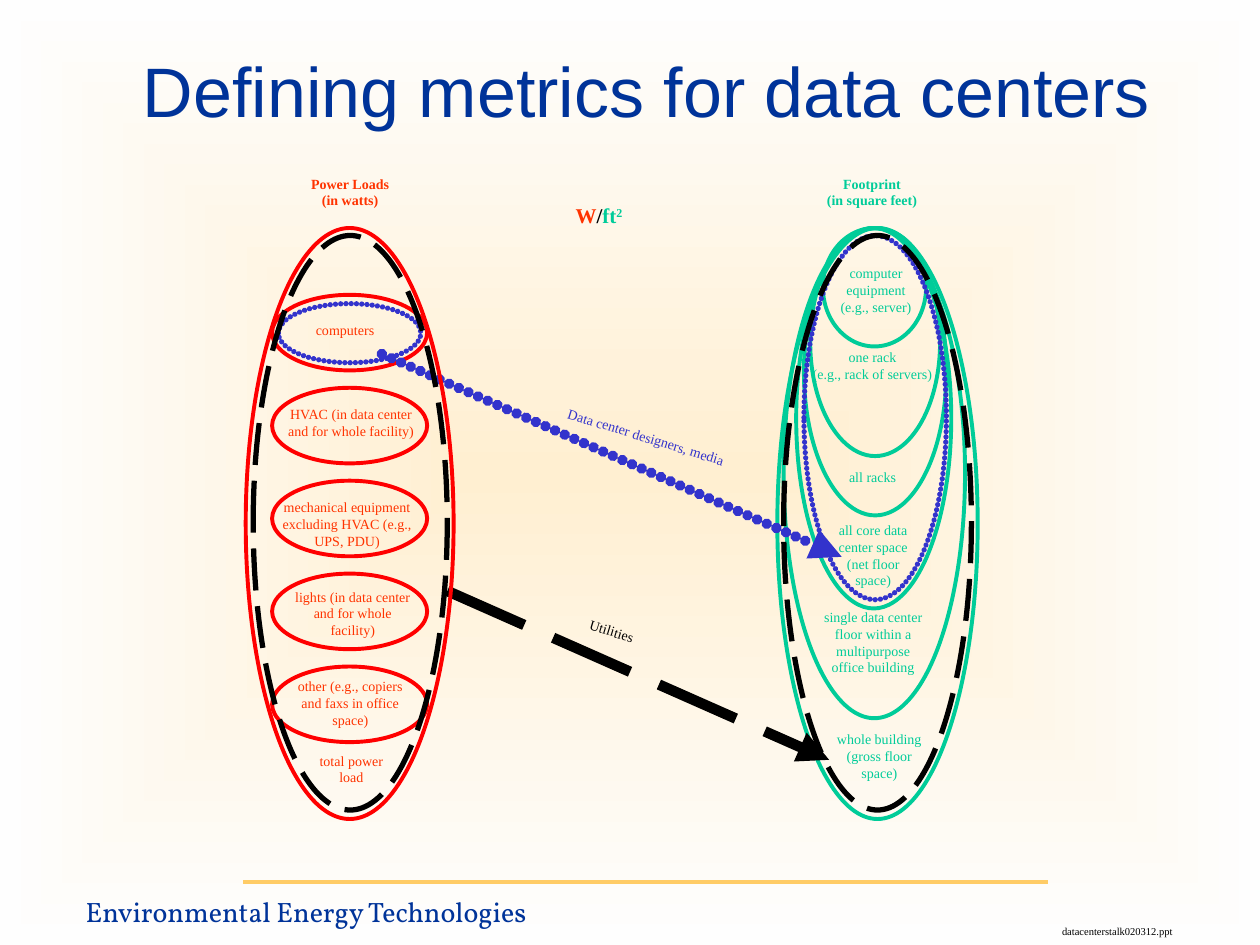
"""Build the slide on metrics for data centers."""
from lxml.etree import SubElement
from pptx import Presentation
from pptx.dml.color import RGBColor
from pptx.enum.dml import MSO_LINE_DASH_STYLE as DASH
from pptx.enum.shapes import MSO_CONNECTOR, MSO_SHAPE
from pptx.enum.text import PP_ALIGN
from pptx.oxml.ns import qn
from pptx.util import Pt

RED = RGBColor(0xFF, 0x00, 0x00)
ORANGE = RGBColor(0xFF, 0x33, 0x00)
GREEN = RGBColor(0x00, 0xCC, 0x99)
BLUE = RGBColor(0x33, 0x33, 0xCC)
NAVY = RGBColor(0x00, 0x33, 0x99)
GOLD = RGBColor(0xFF, 0xCC, 0x66)
BLACK = RGBColor(0x00, 0x00, 0x00)
CREAM = RGBColor(0xFF, 0xEF, 0xD1)
WHITE = RGBColor(0xFE, 0xFE, 0xFE)

SERIF = "Times New Roman"
TITLE = "Defining metrics for data centers"
FOOTER = "Environmental Energy Technologies"
FILE_NAME = "datacenterstalk020312.ppt"
HEADINGS = [
    (167, 96.5, 66.2, ORANGE, ["Power Loads", "(in watts)"]),
    (459.4, 96.5, 77.8, GREEN, ["Footprint", "(in square feet)"]),
]
LABELS = [
    (470.6, 147.6, 60, GREEN, ["computer", "equipment", "(e.g., server)"]),
    (456.2, 195.8, 84.8, GREEN, ["one rack", "(e.g., rack of servers)"]),
    (463, 264.2, 71.3, GREEN, ["all racks"]),
    (470.2, 294.5, 57.6, GREEN, ["all core data", "center space", "(net floor space)"]),
    (463.7, 344.2, 70.6, GREEN,
     ["single data center", "floor within a", "multipurpose", "office building"]),
    (465.8, 414, 73.4, GREEN, ["whole building", "(gross floor space)"]),
    (170.2, 180, 54, ORANGE, ["computers"]),
    (156.2, 228.2, 89, ORANGE, ["HVAC (in data center", "and for whole facility)"]),
    (144.7, 281.5, 107.3, ORANGE,
     ["mechanical equipment", "excluding HVAC (e.g.,", "UPS, PDU)"]),
    (159.1, 332.6, 85, ORANGE, ["lights (in data center", "and for whole facility)"]),
    (154.1, 383.8, 92.2, ORANGE, ["other (e.g., copiers", "and faxs in office space)"]),
    (170.6, 426.2, 60.5, ORANGE, ["total power load"]),
]
ARROW_LABELS = [
    (288.7, 352.1, 121.7, BLACK, ["Utilities"]),
    (308.2, 241.2, 121.7, BLUE, ["Data center designers, media"]),
]
ARROWS = [
    ((218.2, 202.3), (481, 318.2), BLUE),
    ((255.6, 337.7), (473.8, 434.2), BLACK),
]
UNIT = [("W", ORANGE), ("/", BLACK), ("ft", GREEN), ("2", GREEN)]

LOAD_COUNT, LOAD_TOP, LOAD_STEP = 5, 168.5, 53.1
RING_TOP = 130.3
RINGS = [(459.4, 81.4, 164.2), (455, 88.6, 217.4), (463, 74.2, 130.3),
         (444.2, 114.5, 337.7), (447.8, 103.7, 280.1), (470.2, 59, 67.7)]
SCOPES = [
    (159.1, 173.5, 81.4, 33.8, BLUE),
    (459.4, 134.6, 81.4, 208.1, BLUE),
    (144.7, 134.6, 110.9, 328.3, BLACK),
    (447.8, 134.6, 107.3, 328.3, BLACK),
]


def set_line(sp, color, width):
    sp.line.color.rgb = color
    sp.line.width = Pt(width)


def set_dash(sp, color):
    if color == BLACK:
        sp.line.dash_style = DASH.LONG_DASH
        return
    ln = sp.line._get_or_add_ln()
    ln.set("cap", "rnd")
    dash = SubElement(ln, qn("a:custDash"))
    SubElement(dash, qn("a:ds"), d="1000", sp="99000")
    SubElement(ln, qn("a:round"))


def add_ellipse(s, x, y, w, h, color, width=2.25):
    sp = s.shapes.add_shape(MSO_SHAPE.OVAL, Pt(x), Pt(y), Pt(w), Pt(h))
    sp.shadow.inherit = False
    sp.fill.background()
    set_line(sp, color, width)
    return sp


def add_line(s, start, end, color, width):
    ends = [Pt(v) for v in (*start, *end)]
    sp = s.shapes.add_connector(MSO_CONNECTOR.STRAIGHT, *ends)
    set_line(sp, color, width)
    SubElement(sp._element.spPr, qn("a:effectLst"))
    return sp


def add_run(p, text, color, size, font, bold):
    r = p.add_run()
    r.text = text
    r.font.size, r.font.name, r.font.bold = Pt(size), font, bold
    r.font.color.rgb = color
    return r


def add_text(s, x, y, w, color, lines, size=8, font=SERIF, bold=False,
             align=PP_ALIGN.CENTER):
    height = 7.5 + 1.2 * size * len(lines)
    sp = s.shapes.add_textbox(Pt(x), Pt(y), Pt(w), Pt(height))
    tf = sp.text_frame
    tf.word_wrap = True
    for i, line in enumerate(lines):
        p = tf.add_paragraph() if i else tf.paragraphs[0]
        p.alignment = align
        runs = [(line, color)] if isinstance(line, str) else line
        for text, run_color in runs:
            add_run(p, text, run_color, size, font, bold)
    return sp


def set_background(s):
    fill = s.background.fill
    fill.gradient()
    for stop, color, position in zip(fill.gradient_stops, (CREAM, WHITE), (0, 1)):
        stop.color.rgb = color
        stop.position = position
    grad = next(s._element.iter(qn("a:gradFill")))
    grad.remove(grad.find(qn("a:lin")))
    rect = SubElement(grad, qn("a:path"), {"path": "rect"})
    SubElement(rect, qn("a:fillToRect"), dict.fromkeys("ltrb", "50000"))


def main():
    prs = Presentation()
    prs.slide_width, prs.slide_height = Pt(720), Pt(540)
    s = prs.slides.add_slide(prs.slide_layouts[6])
    set_background(s)

    add_line(s, (139, 504), (599, 504), GOLD, 2)
    add_text(s, 41.8, 507.6, 414.7, NAVY, [FOOTER], 16, "Vollkorn", align=PP_ALIGN.LEFT)
    add_text(s, 599.8, 524.9, 103, BLACK, [FILE_NAME], 6, align=PP_ALIGN.LEFT)

    for i in range(LOAD_COUNT):
        add_ellipse(s, 155.5, LOAD_TOP + i * LOAD_STEP, 88.6, 43.2, RED)
    for x, w, h in RINGS:
        add_ellipse(s, x, RING_TOP, w, h, GREEN)

    add_text(s, 30.2, 23.8, 678.2, NAVY, [TITLE], 40, "Arial")
    for heading in HEADINGS:
        add_text(s, *heading, bold=True)
    for label in LABELS:
        add_text(s, *label)

    for start, end, color in ARROWS:
        sp = add_line(s, start, end, color, 6)
        set_dash(sp, color)
        SubElement(sp.line._get_or_add_ln(), qn("a:tailEnd"), type="triangle")
    for label in ARROW_LABELS:
        add_text(s, *label).rotation = 17

    add_ellipse(s, 140.4, RING_TOP, 118.8, 337.7, RED)
    sp = add_text(s, 321.8, 112.3, 56.2, BLACK, [UNIT], 12, bold=True, align=PP_ALIGN.LEFT)
    exponent = sp.text_frame.paragraphs[0].runs[-1]
    exponent._r.get_or_add_rPr().set("baseline", "30000")
    for x, y, w, h, color in SCOPES:
        set_dash(add_ellipse(s, x, y, w, h, color, 3), color)

    prs.save("out.pptx")


if __name__ == "__main__":
    main()
